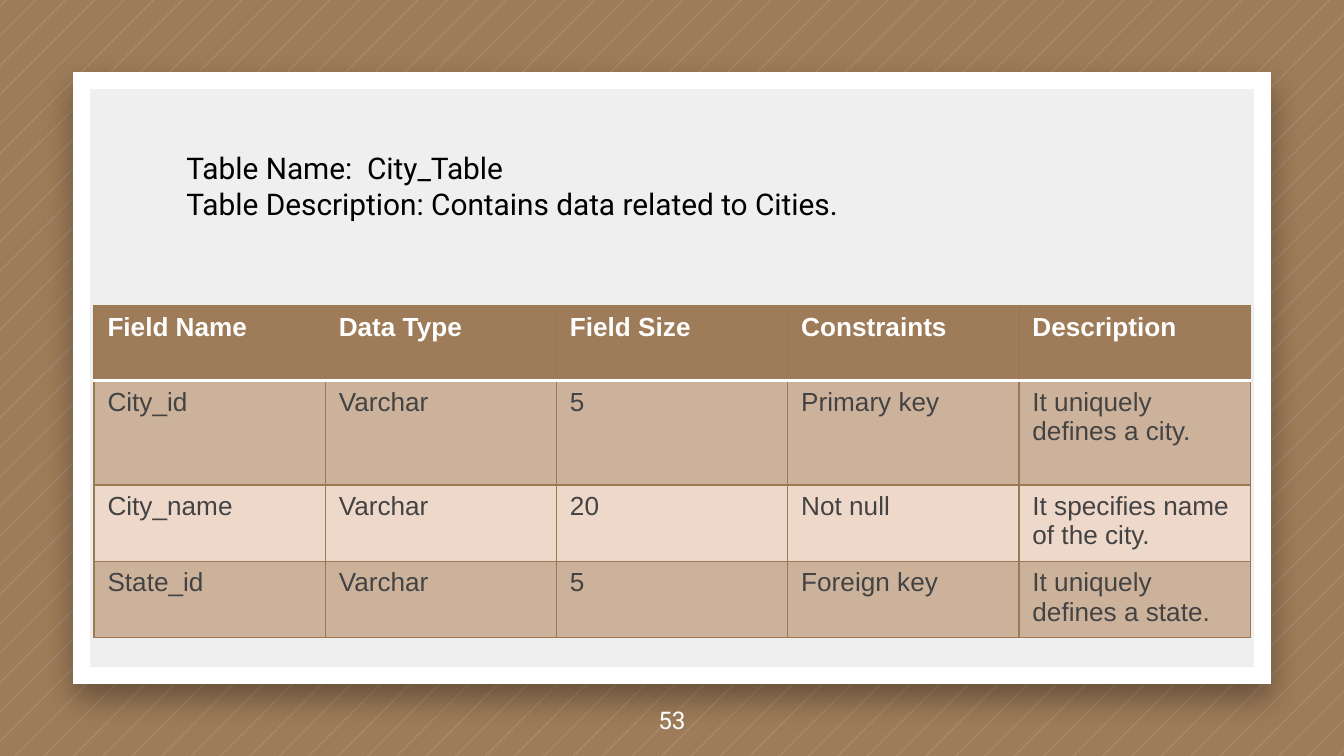
from pptx import Presentation
from pptx import util as u
from pptx.dml import color
from pptx.enum import shapes, text
from pptx.oxml import parse_xml
from pptx.oxml.ns import nsdecls

WIDE, HIGH = 720, 405
ROWS = [
    ["Field Name", "Data Type", "Field Size", "Constraints", "Description"],
    ["City_id", "Varchar", "5", "Primary key", "It uniquely defines a city."],
    ["City_name", "Varchar", "20", "Not null", "It specifies name of the city."],
    ["State_id", "Varchar", "5", "Foreign key", "It uniquely defines a state."],
]
HEIGHTS = [40.1, 56, 40.1, 40.1]
FILLS = ["9E7C59", "CDB29B", "EDD8CA", "CDB29B"]


def paint(code):
    return color.RGBColor.from_string(code)


def node(xml):
    return parse_xml(xml.replace(">", " " + nsdecls("a") + ">", 1))


def tint(code, alpha):
    return f'<a:srgbClr val="{code}"><a:alpha val="{alpha * 1000}"/></a:srgbClr>'


class Deck:
    """Draws styled elements on the current slide, with lengths in points."""

    brown, edge, white = "9E7C59", "9C7955", "FFFFFF"
    head = dict(name="Arial", size=u.Pt(14), bold=True, color=white)
    body = dict(head, bold=False, color="434343")
    title = dict(name="Roboto", size=u.Pt(16), color="000000")
    page = dict(name="Roboto", size=u.Pt(13), color=white)

    def __init__(self, slide):
        self.slide = slide
        fill = slide.background.fill
        fill.solid()
        fill.fore_color.rgb = paint(self.brown)

    def style(self, font, look):
        for key, value in look.items():
            if key == "color":
                font.color.rgb = paint(value)
            else:
                setattr(font, key, value)

    def stripes(self, first, step, thick):
        def top(sum_):
            return u.Pt(min(sum_, WIDE)), u.Pt(max(sum_ - WIDE, 0))

        def low(sum_):
            return u.Pt(max(sum_ - HIGH, 0)), u.Pt(min(sum_, HIGH))

        pen = self.slide.shapes.build_freeform(*top(first))
        count = int((WIDE + HIGH - first) // step) + 1
        for i in range(count):
            near = first + i * step
            far = near + thick
            if i:
                pen.move_to(*top(near))
            pen.add_line_segments([low(near), low(far), top(far)], close=True)
        shape = pen.convert_to_shape()
        shape.shadow.inherit = False
        shape.line.fill.background()
        shape.fill.solid()
        shape.fill.fore_color.rgb = paint(self.white)
        rgb = shape.fill._xPr.find(".//{*}solidFill/{*}srgbClr")
        rgb.append(node('<a:alpha val="10000"/>'.replace("/>", "></a:alpha>")))

    def panel(self, *box):
        shape = self.slide.shapes.add_shape(
            shapes.MSO_SHAPE.RECTANGLE, *map(u.Pt, box))
        shape.fill.solid()
        shape.fill.fore_color.rgb = paint("EFEFEF")
        shape.line.color.rgb = paint(self.white)
        shape.line.width = u.Pt(9)
        shape.line._get_or_add_ln().append(
            node('<a:miter lim="800000"></a:miter>'))
        shape.shadow.inherit = False
        shape._element.spPr.find("{*}effectLst").append(node(
            f'<a:outerShdw blurRad="{u.Pt(16.9)}" dist="{u.Pt(7.5)}" '
            f'dir="5400000" algn="bl" rotWithShape="0">'
            f'{tint("000000", 35)}</a:outerShdw>'))

    def words(self, box, lines, look, **frame):
        area = self.slide.shapes.add_textbox(*map(u.Pt, box)).text_frame
        area.word_wrap = True
        align = frame.pop("align", text.PP_ALIGN.LEFT)
        for key, value in frame.items():
            setattr(area, key, value)
        area.text = "\n".join(lines)
        for para in area.paragraphs:
            para.alignment = align
            self.style(para.font, look)

    def border(self, cell, side, code, width):
        cell._tc.get_or_add_tcPr().append(node(
            f'<a:ln{side} w="{u.Pt(width)}"><a:solidFill>'
            f'<a:srgbClr val="{code}"/></a:solidFill></a:ln{side}>'))

    def table(self, left, top, width):
        grid = self.slide.shapes.add_table(
            len(ROWS), len(ROWS[0]), *map(u.Pt, (left, top, width, sum(HEIGHTS)))).table
        for r, row in enumerate(ROWS):
            grid.rows[r].height = u.Pt(HEIGHTS[r])
            for c, label in enumerate(row):
                cell = grid.cell(r, c)
                cell.text = label
                para = cell.text_frame.paragraphs[0]
                self.style(para.runs[0].font, self.body if r else self.head)
                for side in "LRTB":
                    rule = (r, side) in [(0, "B"), (1, "T")]
                    self.border(cell, side, *((self.white, 2) if rule else (self.edge, 0.75)))
                cell.fill.solid()
                cell.fill.fore_color.rgb = paint(FILLS[r])


def main():
    show = Presentation()
    show.slide_width, show.slide_height = u.Pt(WIDE), u.Pt(HIGH)
    deck = Deck(show.slides.add_slide(show.slide_layouts[6]))
    deck.stripes(3, 15.75, 1)
    deck.panel(43.75, 43, 632.5, 319)
    deck.words((0, 366, WIDE, 39), ["53"], deck.page,
               align=text.PP_ALIGN.CENTER,
               vertical_anchor=text.MSO_ANCHOR.MIDDLE,
               margin_top=u.Pt(7.2), margin_bottom=u.Pt(7.2))
    deck.table(50.4, 163.8, 619.5)
    deck.words((92.8, 76.5, 535, 46),
               ["Table Name:  City_Table",
                "Table Description: Contains data related to Cities."], deck.title)
    show.save("out.pptx")


if __name__ == "__main__":
    main()
